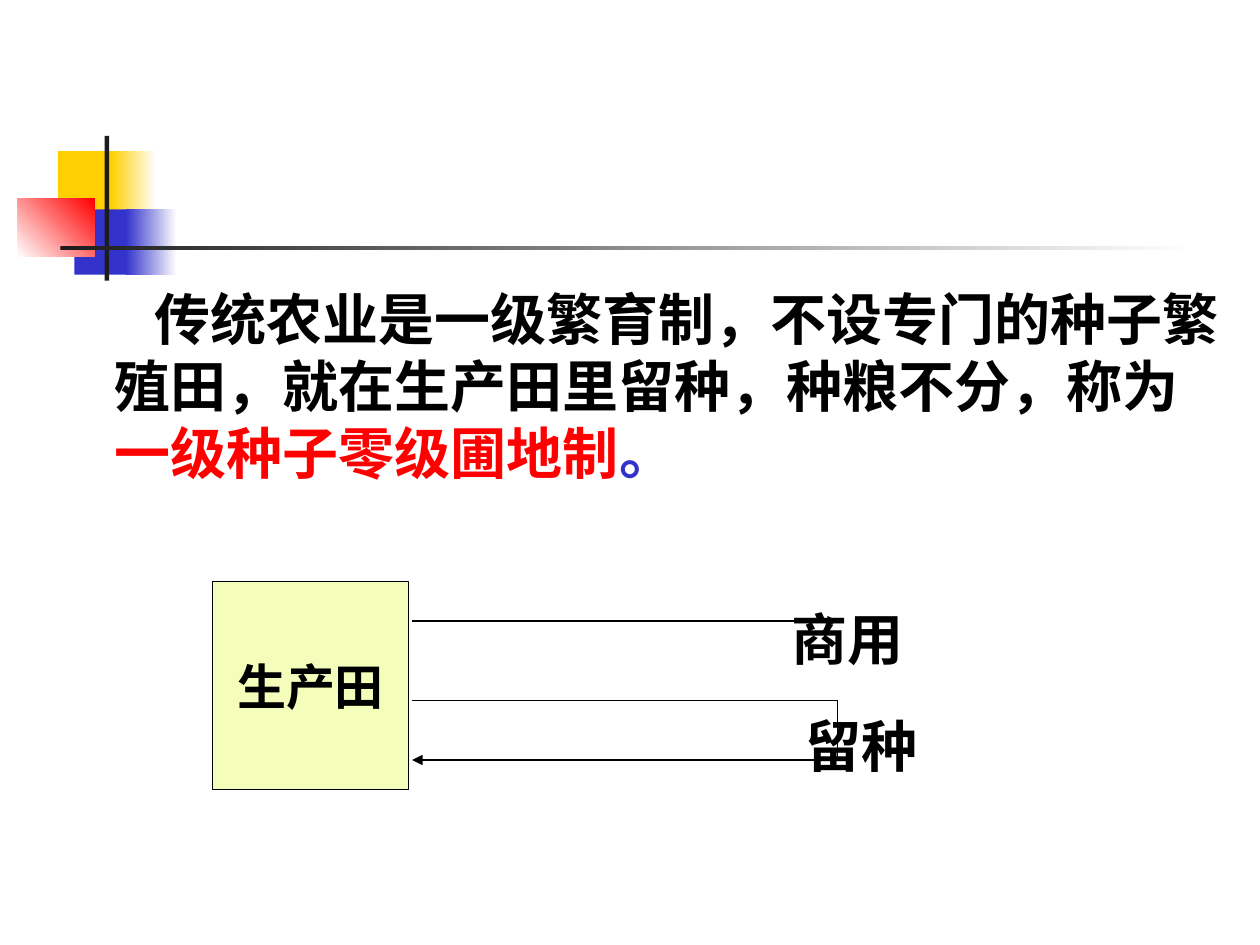
from dataclasses import dataclass

from lxml import etree
from pptx import Presentation
from pptx.dml.color import RGBColor
from pptx.enum.shapes import MSO_CONNECTOR, MSO_SHAPE
from pptx.enum.text import MSO_ANCHOR, PP_ALIGN
from pptx.oxml.ns import qn
from pptx.util import Cm, Pt

RECT = MSO_SHAPE.RECTANGLE
STRAIGHT = MSO_CONNECTOR.STRAIGHT
MIDDLE = MSO_ANCHOR.MIDDLE
CENTER = PP_ALIGN.CENTER


@dataclass(frozen=True)
class Theme:
    black: str = "000000"
    white: str = "FFFFFF"
    dark: str = "1C1C1C"
    gold: str = "FFCF01"
    blue: str = "3333CC"
    red: str = "FF0000"
    lime: str = "F4FEBA"
    head: str = "Cabin"
    body: str = "Times New Roman"
    large: int = 32
    small: int = 28
    line: float = 0.75


THEME = Theme()


def rgb(code):
    return RGBColor.from_string(code)


def add_rect(slide, x, y, w, h, start, end=None, angle=0):
    """Borderless rectangle, solid or fading from start to end."""
    shape = slide.shapes.add_shape(RECT, Cm(x), Cm(y), Cm(w), Cm(h))
    shape.shadow.inherit = False
    shape.line.fill.background()
    fill = shape.fill
    if end is None:
        fill.solid()
        fill.fore_color.rgb = rgb(start)
    else:
        fill.gradient()
        fill.gradient_angle = angle
        for stop, code in zip(fill.gradient_stops, (start, end)):
            stop.color.rgb = rgb(code)
    return shape


def add_box(slide, x, y, w, h):
    box = slide.shapes.add_textbox(Cm(x), Cm(y), Cm(w), Cm(h))
    box.text_frame.word_wrap = True
    return box.text_frame


def set_font(para, name, size):
    font = para.font
    font.name, font.size, font.bold = name, Pt(size), True
    font.color.rgb = rgb(THEME.black)


def add_line(slide, start, end, arrow=False):
    line = slide.shapes.add_connector(
        STRAIGHT, *(Cm(v) for v in (*start, *end)))
    line.line.color.rgb = rgb(THEME.black)
    line.line.width = Pt(THEME.line)
    if arrow:
        etree.SubElement(line.line._get_or_add_ln(), qn("a:tailEnd"),
                         type="triangle")
    etree.SubElement(line._element.spPr, qn("a:effectLst"))


def add_motif(slide, x, y, width):
    """Coloured squares crossed by a bar and a fading rule."""
    t = THEME
    parts = [
        (0.81, 0.31, 1.22, 1.32, t.gold),
        (1.88, 0.31, 0.91, 1.32, t.gold, t.white),
        (1.14, 1.48, 1.17, 1.32, t.blue),
        (2.18, 1.48, 1.02, 1.32, t.blue, t.white),
        (0, 1.27, 1.55, 1.17, t.white, t.red, 45),
        (1.75, 0, 0.09, 2.92, t.dark),
        (0.86, 2.21, width - 0.86, 0.09, t.dark, t.white),
    ]
    for left, top, *rest in parts:
        add_rect(slide, x + left, y + top, *rest)


def add_body(slide, x, y, w, h):
    """Paragraph with its key term in red."""
    para = add_box(slide, x, y, w, h).paragraphs[0]
    props = para._p.get_or_add_pPr()
    props.set("marL", str(Cm(0.97)))
    props.set("indent", str(Cm(0.8)))
    set_font(para, THEME.body, THEME.large)
    runs = [
        ("传统农业是一级繁育制，不设专门的种子繁殖田，"
         "就在生产田里留种，种粮不分，称为", THEME.black),
        ("一级种子零级圃地制", THEME.red),
        ("。", THEME.blue),
    ]
    for text, code in runs:
        run = para.add_run()
        run.text = text
        run.font.color.rgb = rgb(code)


def add_flow(slide, x, y, w, h):
    """Field with one way out to market and a loop back for seed."""
    # Labels: left edge and middle height
    tall = 1.5
    for text, left, mid in (("商用", 11.66, 1.14), ("留种", 11.94, 3.3)):
        frame = add_box(slide, x + left, y + mid - tall / 2, 3.5, tall)
        frame.margin_left = frame.margin_right = 0
        frame.margin_top = frame.margin_bottom = 0
        frame.vertical_anchor = MIDDLE
        para = frame.paragraphs[0]
        para.text = text
        set_font(para, THEME.body, THEME.large)

    # Field
    field = add_rect(slide, x, y, 3.94, h, THEME.lime)
    field.line.color.rgb = rgb(THEME.black)
    field.line.width = Pt(THEME.line)
    frame = field.text_frame
    frame.word_wrap = False
    frame.vertical_anchor = MIDDLE
    para = frame.paragraphs[0]
    para.text = "生产田"
    para.alignment = CENTER
    set_font(para, THEME.head, THEME.small)

    # Arrow out, then the loop back
    near, far = x + 4.02, x + w
    out, top, low = y + 0.79, y + 2.39, y + 3.59
    add_line(slide, (near, out), (far, out), arrow=True)
    add_line(slide, (near, top), (far, top))
    add_line(slide, (far, top), (far, low))
    add_line(slide, (far, low), (near, low), arrow=True)


def main():
    deck = Presentation()
    deck.slide_width, deck.slide_height = Cm(25.4), Cm(19.05)
    slide = deck.slides.add_slide(deck.slide_layouts[6])
    add_motif(slide, 0.36, 2.74, 23.72)
    add_body(slide, 1.09, 5.61, 23.77, 5)
    add_flow(slide, 4.29, 11.73, 12.6, 4.19)
    deck.save("out.pptx")


if __name__ == "__main__":
    main()
